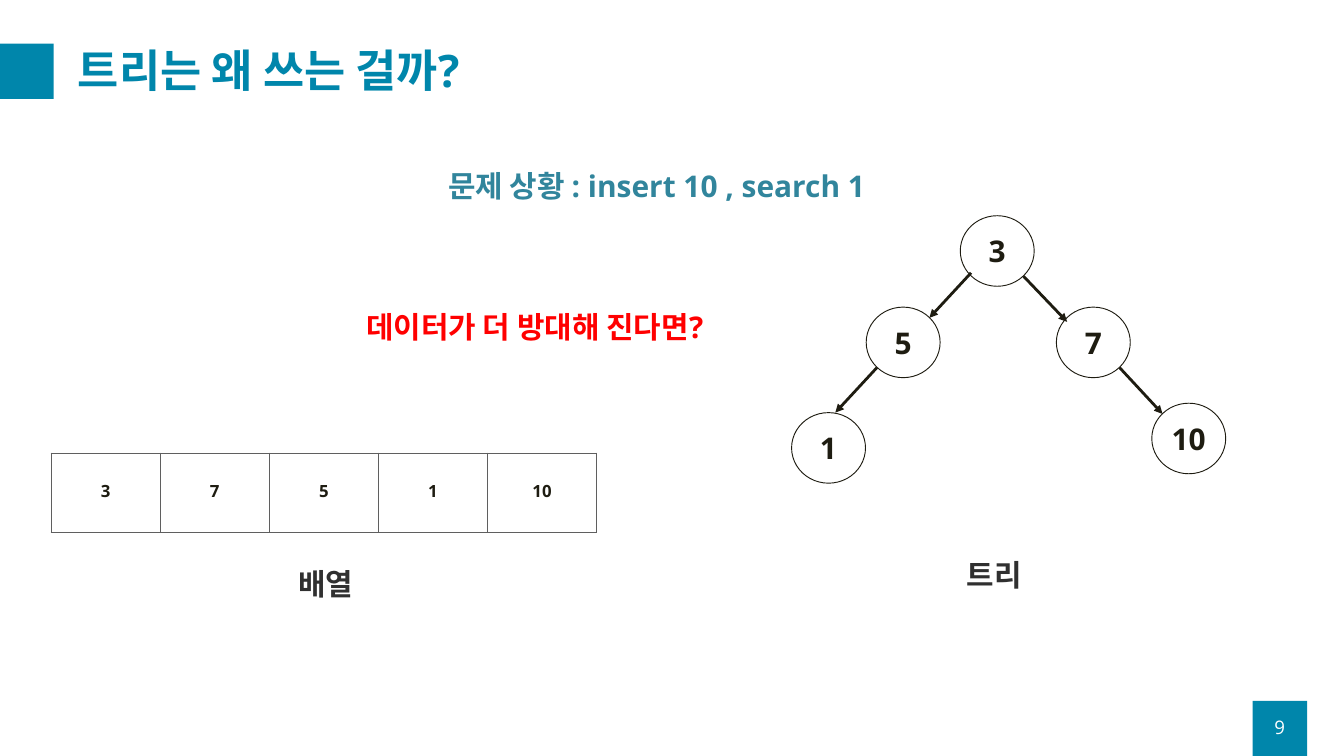
from dataclasses import dataclass

from lxml.etree import SubElement as Sub
from pptx import Presentation as Deck
from pptx.dml.color import RGBColor as Rgb
from pptx.enum.shapes import MSO_CONNECTOR as Link, MSO_SHAPE as Kind
from pptx.enum.text import MSO_ANCHOR as Anchor, MSO_AUTO_SIZE as Fit, PP_ALIGN as Align
from pptx.oxml import parse_xml
from pptx.oxml.ns import nsdecls, qn
from pptx.util import Inches, Pt


@dataclass(frozen=True)
class Theme:
    font: str = "Open Sans"
    teal: str = "0086AB"
    blue: str = "31859C"
    red: str = "FF0000"
    gray: str = "303030"
    ink: str = "1E1C11"
    rule: str = "5F5F5F"
    white: str = "FFFFFF"
    head: int = 48
    body: int = 32
    page: int = 20
    cell: int = 18


def apply(item, form):
    for key, value in form.items():
        setattr(item, key, value)


class Board:
    def __init__(self, slide, theme):
        self.slide = slide
        self.shapes = slide.shapes
        self.theme = theme

    def letter(self, frame, text, size, color, bold=True, align=Align.LEFT, space=None):
        frame.text = text
        line = frame.paragraphs[0]
        apply(line, {"alignment": align, "line_spacing": space})
        font = line.runs[0].font
        apply(font, {"name": self.theme.font, "size": Pt(size), "bold": bold})
        font.color.rgb = Rgb.from_string(color)

    def title(self, text, left, top, width, height):
        box = self.shapes.title
        apply(box, {"left": Inches(left), "top": Inches(top),
                    "width": Inches(width), "height": Inches(height)})
        apply(box.text_frame, {"auto_size": Fit.NONE, "vertical_anchor": Anchor.MIDDLE})
        self.letter(box.text_frame, text, self.theme.head, self.theme.teal, space=0.9)

    def block(self, left, top):
        box = self.shapes.add_shape(Kind.RECTANGLE, Inches(left), Inches(top),
                                    Inches(0.81), Inches(0.82))
        box.shadow.inherit = False
        box.fill.solid()
        box.fill.fore_color.rgb = Rgb.from_string(self.theme.teal)
        box.line.fill.background()

    def label(self, text, left, top, width, color, height=0.64, size=None,
              anchor=Anchor.TOP, **form):
        box = self.shapes.add_textbox(Inches(left), Inches(top),
                                      Inches(width), Inches(height))
        apply(box.text_frame, {"word_wrap": True, "vertical_anchor": anchor})
        self.letter(box.text_frame, text, size or self.theme.body, color, **form)

    def node(self, text, left, top):
        ball = self.shapes.add_shape(Kind.OVAL, Inches(left), Inches(top),
                                     Inches(1.1), Inches(1.05))
        ball.shadow.inherit = False
        ball.fill.background()
        ball.line.color.rgb = Rgb.from_string(self.theme.ink)
        ball.line.width = Pt(1)
        apply(ball.text_frame, {"vertical_anchor": Anchor.MIDDLE, "word_wrap": False})
        self.letter(ball.text_frame, text, self.theme.body, self.theme.ink,
                    align=Align.CENTER)

    def arrow(self, *ends):
        edge = self.shapes.add_connector(Link.STRAIGHT, *map(Inches, ends))
        edge.line.color.rgb = Rgb.from_string(self.theme.ink)
        edge.line.width = Pt(3)
        props = edge._element.spPr
        Sub(props.find(qn("a:ln")), qn("a:tailEnd"), type="triangle")
        Sub(props, qn("a:effectLst"))

    def border(self, cell):
        props = cell._tc.get_or_add_tcPr()
        for spot, side in enumerate(("lnL", "lnR", "lnT", "lnB")):
            props.insert(spot, parse_xml(
                f'<a:{side} {nsdecls("a")} w="{Pt(1)}"><a:solidFill>'
                f'<a:srgbClr val="{self.theme.rule}"/></a:solidFill></a:{side}>'))

    def array(self, items, left, top, width, height):
        grid = self.shapes.add_table(1, len(items), Inches(left), Inches(top),
                                     Inches(width), Inches(height)).table
        apply(grid, {"first_row": False, "horz_banding": False})
        for cell, text in zip(grid.iter_cells(), items):
            cell.fill.solid()
            cell.fill.fore_color.rgb = Rgb.from_string(self.theme.white)
            self.border(cell)
            self.letter(cell.text_frame, text, self.theme.cell, self.theme.ink,
                        align=Align.CENTER, space=2.0)


def main():
    deck = Deck()
    apply(deck, {"slide_width": Inches(20), "slide_height": Inches(11.25)})
    theme = Theme()
    board = Board(deck.slides.add_slide(deck.slide_layouts[5]), theme)

    board.block(18.64, 10.43)
    board.block(-0.01, 0.65)
    board.title("트리는 왜 쓰는 걸까?", 1.06, 0.5, 18.25, 1.18)
    board.label("9", 18.64, 10.52, 0.81, theme.white, height=0.6, size=theme.page,
                anchor=Anchor.MIDDLE, bold=False, align=Align.CENTER)

    board.array(["3", "7", "5", "1", "10"], 0.76, 6.74, 8.12, 1.18)
    for text, left, top, width, color in (
        ("배열", 4.34, 8.37, 4.18, theme.gray),
        ("트리", 14.29, 8.24, 1.37, theme.gray),
        ("문제 상황 : insert 10 , search 1", 6.57, 2.44, 14.86, theme.blue),
        ("데이터가 더 방대해 진다면?", 5.35, 4.55, 16.96, theme.red),
    ):
        board.label(text, left, top, width, color)

    for text, left, top in (
        ("3", 14.29, 3.21),
        ("7", 15.72, 4.57),
        ("5", 12.89, 4.57),
        ("1", 11.78, 6.14),
        ("10", 17.14, 6),
    ):
        board.node(text, left, top)

    for ends in (
        (15.23, 4.11, 15.88, 4.79),
        (14.45, 4.06, 13.83, 4.73),
        (13.05, 5.47, 12.43, 6.14),
        (16.66, 5.47, 17.3, 6.16),
    ):
        board.arrow(*ends)

    deck.save("out.pptx")


if __name__ == "__main__":
    main()
